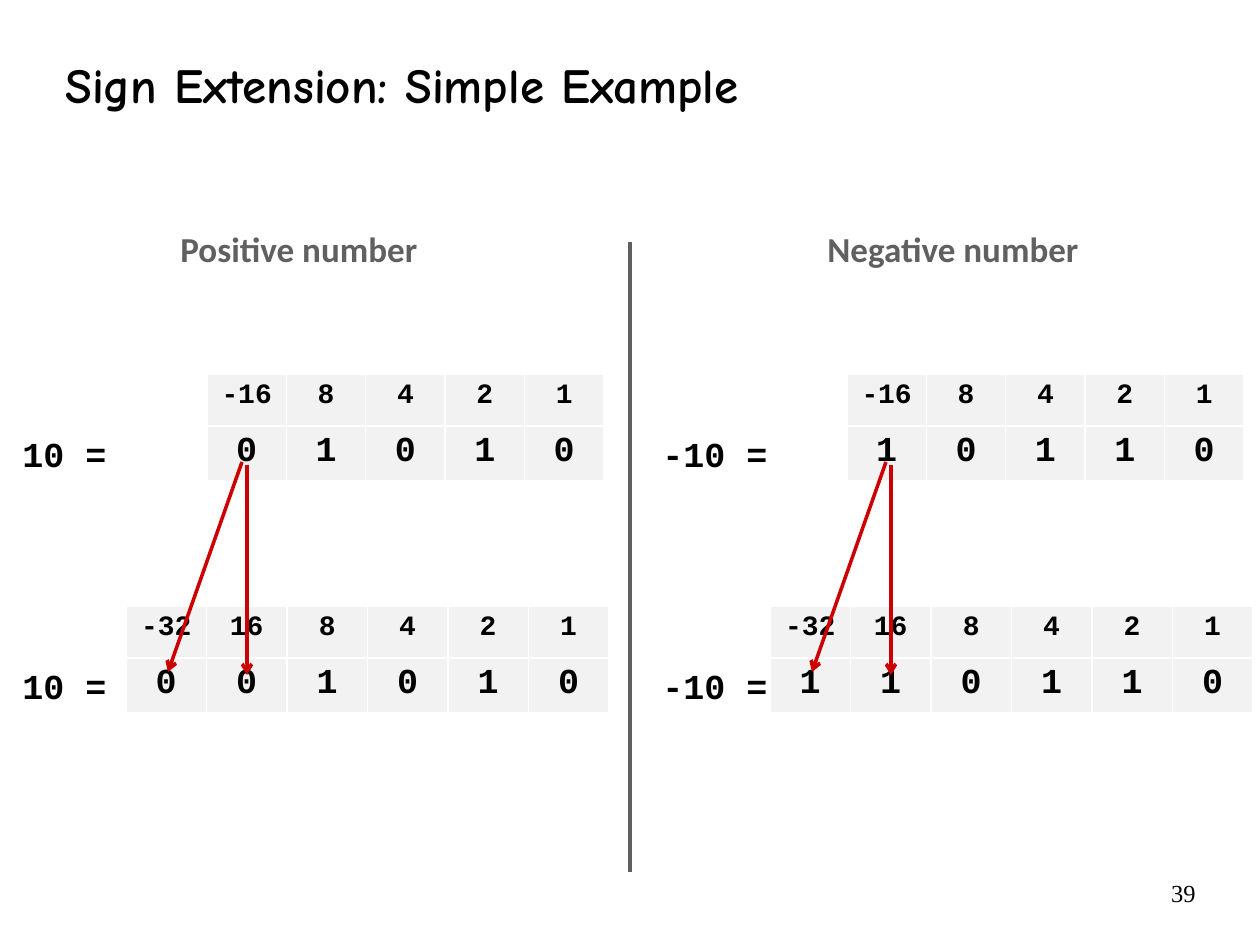
from lxml.etree import SubElement
from pptx import Presentation
from pptx.dml.color import RGBColor
from pptx.enum.shapes import MSO_CONNECTOR as Connector
from pptx.enum.text import MSO_ANCHOR as Anchor, PP_ALIGN as Align
from pptx.oxml.ns import qn
from pptx.util import Pt

SCALE = 914400 / 126
BLACK = RGBColor(0x00, 0x00, 0x00)
GRAY = RGBColor(0x60, 0x60, 0x60)
RED = RGBColor(0xCC, 0x00, 0x00)
CELL = RGBColor(0xF2, 0xF2, 0xF2)

deck = Presentation()
deck.slide_width, deck.slide_height = round(1260 * SCALE), round(945 * SCALE)
page = deck.slides.add_slide(deck.slide_layouts[6])


def px(*lengths):
    return [round(length * SCALE) for length in lengths]


def write(frame, text, font="Courier New", size=20, color=BLACK, bold=True,
          align=Align.LEFT, anchor=Anchor.TOP, wrap=False):
    frame.word_wrap = wrap
    frame.vertical_anchor = anchor
    para = frame.paragraphs[0]
    para.alignment = align
    span = para.add_run()
    span.text = text
    span.font.name, span.font.size, span.font.bold = font, Pt(size), bold
    span.font.color.rgb = color


# Title
box = page.shapes.add_textbox(*px(53, 44, 1207, 79))
write(box.text_frame, "Sign Extension: Simple Example", font="Comic Neue", size=28,
      anchor=Anchor.MIDDLE, wrap=True)

# Bit tables with the value each one stands for:
# label, label left, label width, table left, table top, table width, weights, bits
numbers = [
    ("10 =", 10, 131, 207, 374, 397, "-16 8 4 2 1", "01010"),
    ("10 =", 10, 131, 126, 606, 483, "-32 16 8 4 2 1", "001010"),
    ("-10 =", 650, 152, 847, 374, 397, "-16 8 4 2 1", "10110"),
    ("-10 =", 650, 152, 770, 606, 483, "-32 16 8 4 2 1", "110110"),
]
for label, label_left, label_width, left, top, width, weights, bits in numbers:
    box = page.shapes.add_textbox(*px(label_left, top + 52, label_width, 55))
    write(box.text_frame, label)

    table = page.shapes.add_table(2, len(bits), *px(left, top, width, 105)).table
    table.first_row = table.horz_banding = False
    table.rows[0].height, table.rows[1].height = px(52, 53)
    for row, (texts, size) in enumerate([(weights.split(), 16), (bits, 20)]):
        for column, text in enumerate(texts):
            cell = table.cell(row, column)
            write(cell.text_frame, text, size=size, align=Align.CENTER, wrap=True)
            properties = cell._tc.get_or_add_tcPr()
            for side in ("a:lnL", "a:lnR", "a:lnT", "a:lnB"):
                border = SubElement(properties, qn(side), w=str(Pt(1)))
                fill = SubElement(border, qn("a:solidFill"))
                SubElement(fill, qn("a:srgbClr"), val="FFFFFF")
            cell.fill.solid()
            cell.fill.fore_color.rgb = CELL

# Divider, then the arrows that copy the sign bit down
lines = [(630, 242, 630, 872, GRAY)]
for sign_center in (247, 891):
    lines.append((sign_center, 465, sign_center, 675, RED))
    lines.append((sign_center - 5, 462, sign_center - 79, 672, RED))
for *ends, color in lines:
    line = page.shapes.add_connector(Connector.STRAIGHT, *px(*ends))
    line.line.color.rgb = color
    line.line.width = Pt(2)
    if color == RED:
        SubElement(line.line._get_or_add_ln(), qn("a:tailEnd"), type="arrow")
    SubElement(line._element.spPr, qn("a:effectLst"))

# Column headings
for heading, left, width in [("Positive number", 168, 312), ("Negative number", 815, 330)]:
    box = page.shapes.add_textbox(*px(left, 221, width, 63))
    write(box.text_frame, heading, font="Calibri", color=GRAY)

# Page number
box = page.shapes.add_textbox(*px(1029, 872, 179, 42))
write(box.text_frame, "39", font="Times New Roman", size=14, bold=False,
      align=Align.RIGHT, wrap=True)

deck.save("out.pptx")
